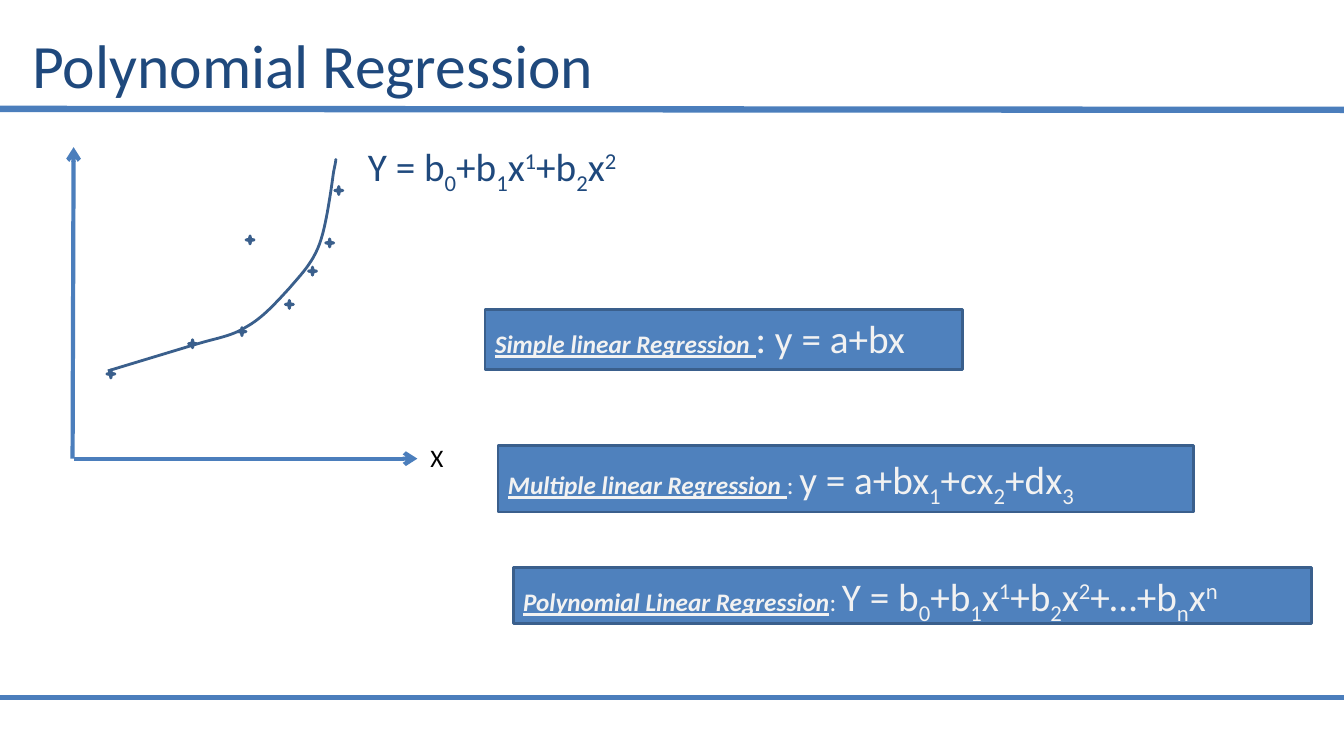
"""Build the Polynomial Regression slide: a fitted curve beside three regression formulas."""
from lxml import etree
from pptx import Presentation
from pptx import util as u
from pptx.dml.color import RGBColor
from pptx.enum import shapes, text
from pptx.oxml.ns import qn

THEME = {
    "navy": RGBColor(0x1F, 0x49, 0x7D),
    "blue": RGBColor(0x4F, 0x81, 0xBD),
    "rule": RGBColor(0x4B, 0x7E, 0xBC),
    "edge": RGBColor(0x3A, 0x5F, 0x8C),
    "pale": RGBColor(0xF2, 0xF2, 0xF2),
    "black": RGBColor(0, 0, 0),
    "font": "Calibri",
    "title": u.Pt(44),
    "formula": u.Pt(28),
    "label": u.Pt(18),
}
BASELINES = {"_": "-25000", "^": "30000"}


def write(paragraph, pieces, color, size, **style):
    """Add runs split at |, where _ lowers and ^ raises a piece."""
    for piece in pieces.split("|"):
        run = paragraph.add_run()
        run.text = piece.lstrip("_^")
        values = {"name": THEME["font"], "size": THEME[size], **style}
        for key, value in values.items():
            setattr(run.font, key, value)
        run.font.color.rgb = THEME[color]
        if piece[0] in BASELINES:
            run._r.get_or_add_rPr().set("baseline", BASELINES[piece[0]])


def draw_line(start, end, width, arrow=False):
    """Draw a straight line without shadow, with an optional arrowhead."""
    line = slide.shapes.add_connector(
        shapes.MSO_CONNECTOR.STRAIGHT, *[u.Inches(n) for n in (*start, *end)])
    line.line.color.rgb = THEME["rule"]
    line.line.width = u.Pt(width)
    if arrow:
        etree.SubElement(line.line._get_or_add_ln(), qn("a:tailEnd"), type="arrow")
    etree.SubElement(line._element.spPr, qn("a:effectLst"))


deck = Presentation()
deck.slide_width, deck.slide_height = u.Inches(13.33), u.Inches(7.5)
slide = deck.slides.add_slide(deck.slide_layouts[5])

heading = slide.shapes.title
heading_box = {"left": 0.22, "top": 0.17, "width": 10.89, "height": 0.92}
for side, length in heading_box.items():
    setattr(heading, side, u.Inches(length))
heading.text_frame.vertical_anchor = text.MSO_ANCHOR.MIDDLE
heading.text_frame.paragraphs[0].alignment = text.PP_ALIGN.LEFT
write(heading.text_frame.paragraphs[0], "Polynomial Regression", "navy", "title")

draw_line((0, 1.08), (13.33, 1.09), 4.5)
draw_line((0, 6.92), (13.33, 6.92), 3)

regressions = [
    ((4.94, 4.42, 6.9, 0.66), 0.1, "Multiple linear Regression ", ": ", "label",
     "y = a+bx|_1|+cx|_2|+dx|_3"),
    ((4.81, 3.07, 4.74, 0.6), 0.05, "Simple linear Regression ", ": ", "formula",
     "y = a+bx"),
    ((5.09, 5.63, 7.92, 0.56), 0.05, "Polynomial Linear Regression", ": ", "label",
     "Y = b|_0|+b|_1|x|^1|+b|_2|x|^2|+…+b|_n|x|^n"),
]
for place, inset, kind, colon, colon_size, formula in regressions:
    panel = slide.shapes.add_shape(
        shapes.MSO_SHAPE.RECTANGLE, *[u.Inches(n) for n in place])
    panel.shadow.inherit = False
    panel.fill.solid()
    panel.fill.fore_color.rgb = THEME["blue"]
    panel.line.color.rgb = THEME["edge"]
    panel.line.width = u.Pt(2)
    panel.text_frame.word_wrap = True
    panel.text_frame.margin_top = u.Inches(inset)
    panel.text_frame.vertical_anchor = text.MSO_ANCHOR.TOP
    equation = panel.text_frame.paragraphs[0]
    equation.alignment = text.PP_ALIGN.LEFT
    write(equation, kind, "pale", "label", bold=True, italic=True, underline=True)
    write(equation, colon, "pale", colon_size)
    write(equation, formula, "pale", "formula")

draw_line((0.72, 4.55), (0.73, 1.46), 3, arrow=True)
draw_line((0.73, 4.55), (4.14, 4.55), 3, arrow=True)

observations = [(1.87, 3.37), (1.06, 3.67), (2.83, 2.98), (2.44, 2.34),
                (2.36, 3.25), (3.23, 2.37), (3.06, 2.65), (3.32, 1.85)]
for left, top in observations:
    star = slide.shapes.add_shape(
        shapes.MSO_SHAPE.STAR_4_POINT,
        u.Inches(left), u.Inches(top), u.Inches(0.08), u.Inches(0.08))
    star.shadow.inherit = False
    star.fill.solid()
    star.fill.fore_color.rgb = THEME["blue"]
    star.line.color.rgb = THEME["edge"]
    star.line.width = u.Pt(2)

bends = [
    ((2.16, 3.35), (2.29, 3.34), (2.45, 3.24)),
    ((2.61, 3.15), (2.75, 2.99), (2.87, 2.86)),
    ((2.99, 2.72), (3.1, 2.61), (3.17, 2.42)),
    ((3.24, 2.23), (3.29, 1.84), (3.31, 1.7)),
    ((3.34, 1.56), (3.33, 1.58), (3.33, 1.59)),
]
steps = 12
curve_points = [(1.93, 3.42)]
for bend in bends:
    controls = (curve_points[-1], *bend)
    for step in range(1, steps + 1):
        t = step / steps
        weights = ((1 - t) ** 3, 3 * t * (1 - t) ** 2, 3 * t ** 2 * (1 - t), t ** 3)
        curve_points.append(tuple(
            sum(w * point[axis] for w, point in zip(weights, controls))
            for axis in (0, 1)))
builder = slide.shapes.build_freeform(u.Inches(1.07), u.Inches(3.68))
builder.add_line_segments(
    [(u.Inches(x), u.Inches(y)) for x, y in curve_points], close=False)
fitted_curve = builder.convert_to_shape()
fitted_curve.shadow.inherit = False
fitted_curve.fill.background()
fitted_curve.line.color.rgb = THEME["edge"]
fitted_curve.line.width = u.Pt(2)

captions = [
    ((4.17, 4.34, 0.25, 0.4), "X", "black", "label"),
    ((3.55, 1.36, 2.79, 0.57), "Y = b|_0|+b|_1|x|^1|+b|_2|x|^2", "navy", "formula"),
]
for place, wording, color, size in captions:
    caption = slide.shapes.add_textbox(*[u.Inches(n) for n in place])
    caption.text_frame.word_wrap = False
    write(caption.text_frame.paragraphs[0], wording, color, size)

deck.save("out.pptx")
